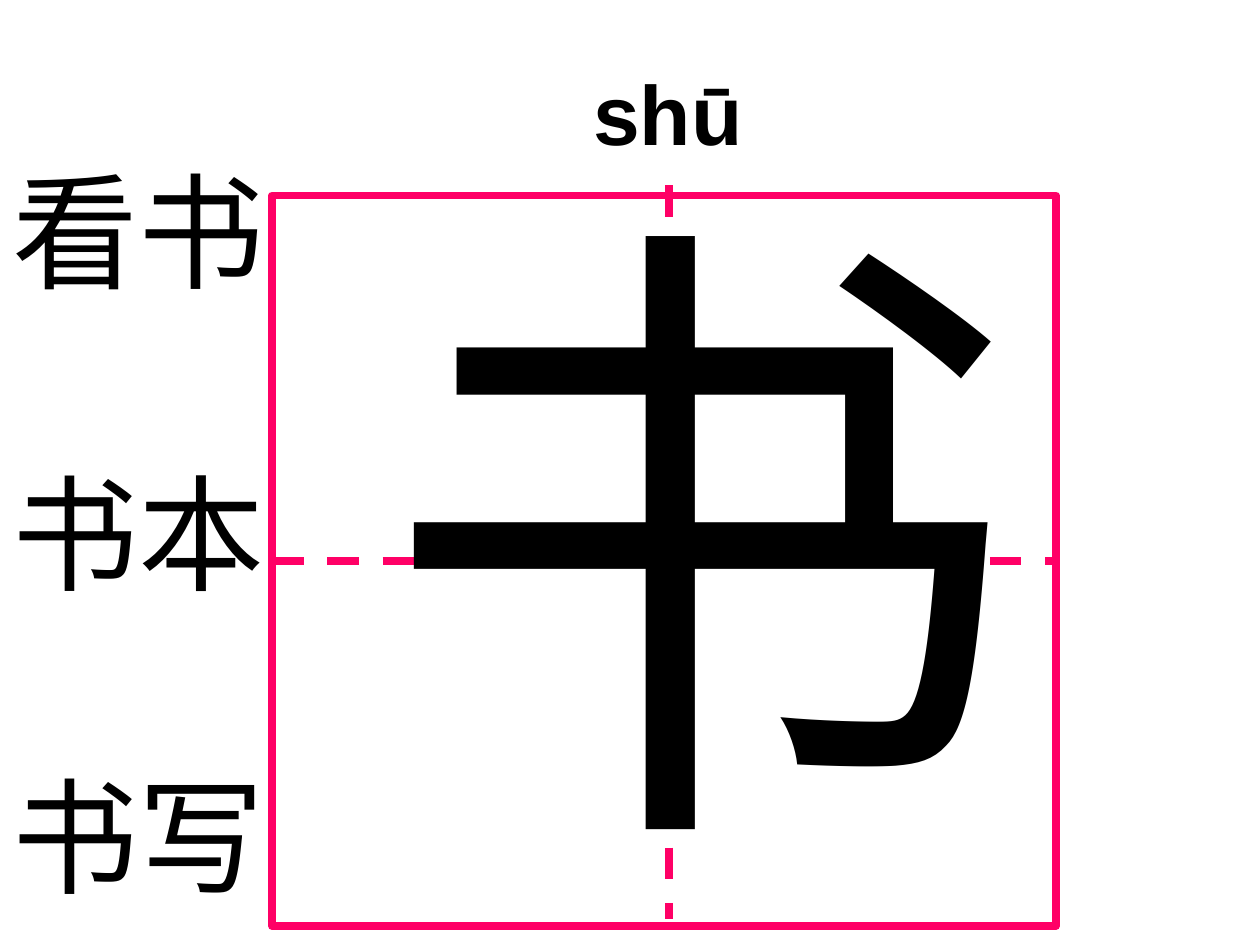
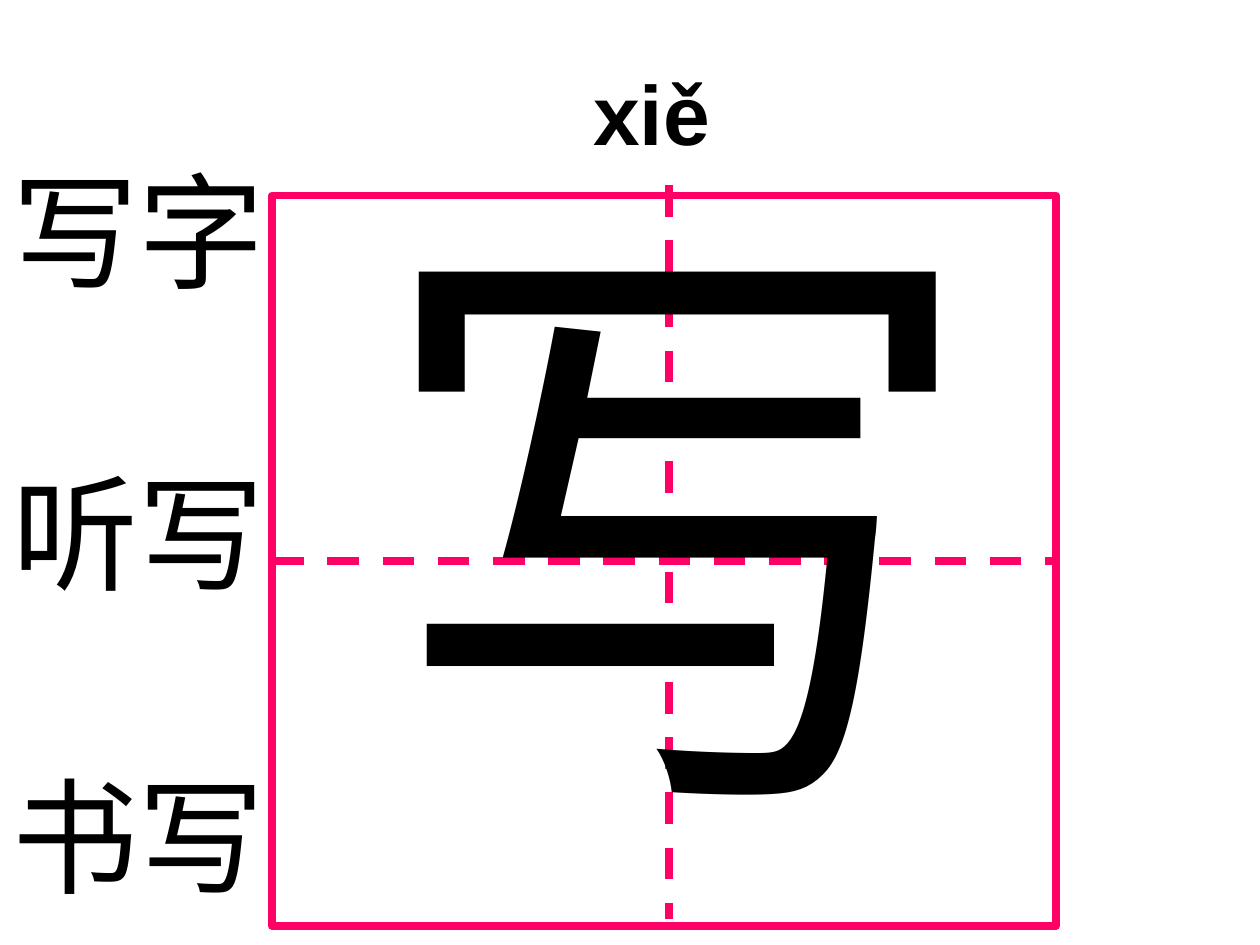
from pptx import Presentation, util as u
from pptx.dml.color import RGBColor
from pptx.enum import dml, shapes, text
from pptx.oxml.ns import qn
from lxml import etree

WIDTH, HEIGHT = u.Inches(10), u.Inches(7.5)
INK, GRID = "000000", "FF0066"
WORD_SIZE = 72
WORD_PITCH = 1.2 * WORD_SIZE

LESSONS = [
    {"pinyin": "shū", "character": "书", "size": 370,
     "place": (0.288, 0.132, 0.534, 0.836), "words": ["看书", "书本", "书写"]},
    {"pinyin": "xiě", "character": "写", "size": 350,
     "place": (0.285, 0.143, 0.506, 0.792), "words": ["写字", "听写", "书写"]},
]


def color(code):
    return RGBColor.from_string(code)


def share(x, y):
    return round(WIDTH * x), round(HEIGHT * y)


def style_stroke(stroke):
    stroke.line.color.rgb = color(GRID)
    stroke.line.width = u.Pt(4.5)


def add_dashes(parent, start, end):
    dashes = parent.add_connector(shapes.MSO_CONNECTOR.STRAIGHT, *start, *end)
    style_stroke(dashes)
    dashes.line.dash_style = dml.MSO_LINE.DASH
    etree.SubElement(dashes._element.spPr, qn("a:effectLst"))
    return dashes


def add_practice_square(slide):
    left, top = share(0.216, 0.207)
    width, height = share(0.622, 0.773)
    middle = top + height // 2
    group = slide.shapes.add_group_shape()
    square = group.shapes.add_shape(
        shapes.MSO_SHAPE.RECTANGLE, left, top, width, height)
    square.shadow.inherit = False
    square.fill.background()
    style_stroke(square)
    across = add_dashes(group.shapes, (left, middle), (left + width, middle))
    across.begin_connect(square, 1)
    across.end_connect(square, 3)
    add_dashes(slide.shapes, share(0.531, 0.196), share(0.531, 0.972))


def add_writing(slide, place, lines, font, wrap=True, spacing=None):
    box = slide.shapes.add_textbox(*share(*place[:2]), *share(*place[2:]))
    frame = box.text_frame
    frame.word_wrap = wrap
    frame.auto_size = text.MSO_AUTO_SIZE.SHAPE_TO_FIT_TEXT
    frame.text = "\n".join(lines)
    for index, paragraph in enumerate(frame.paragraphs):
        if spacing:
            paragraph.line_spacing = u.Pt(spacing)
            if index:
                paragraph.space_before = u.Pt(spacing)
        for written in paragraph.runs:
            written.font.color.rgb = color(INK)
            for name, value in font.items():
                setattr(written.font, name, value)


def add_lesson(deck, lesson):
    slide = deck.slides.add_slide(deck.slide_layouts[6])
    add_writing(slide, (0.461, 0.059, 0.323, 0.12), [lesson["pinyin"]],
                {"name": "Arial", "size": u.Pt(48), "bold": True})
    add_practice_square(slide)
    add_writing(slide, lesson["place"], [lesson["character"]],
                {"name": "Times New Roman", "size": u.Pt(lesson["size"])}, wrap=False)
    add_writing(slide, (0, 0.156, 0.266, 0.813), lesson["words"],
                {"name": "Arial", "size": u.Pt(WORD_SIZE)}, spacing=WORD_PITCH)


def main():
    deck = Presentation()
    deck.slide_width, deck.slide_height = WIDTH, HEIGHT
    for lesson in LESSONS:
        add_lesson(deck, lesson)
    deck.save("out.pptx")


if __name__ == "__main__":
    main()
